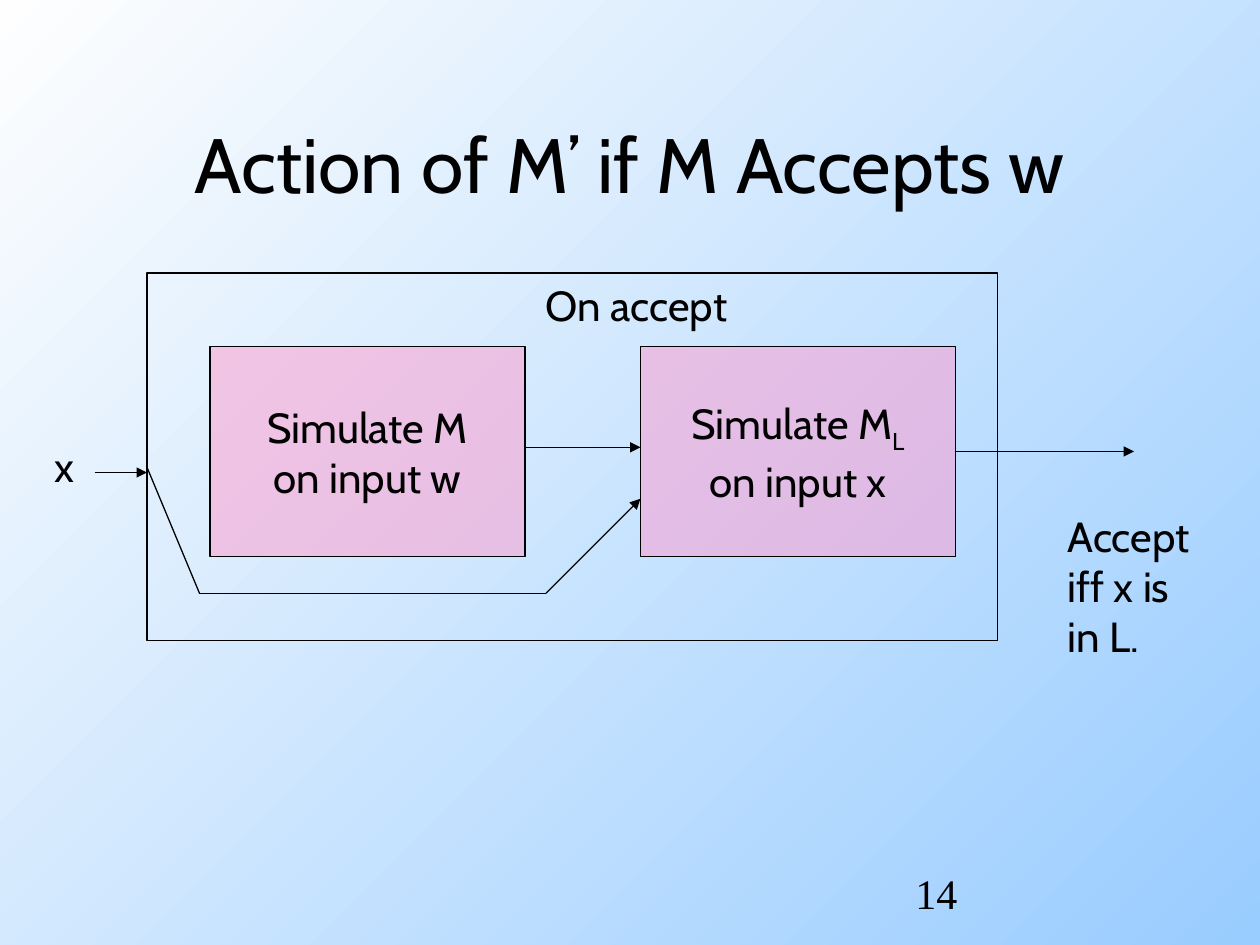
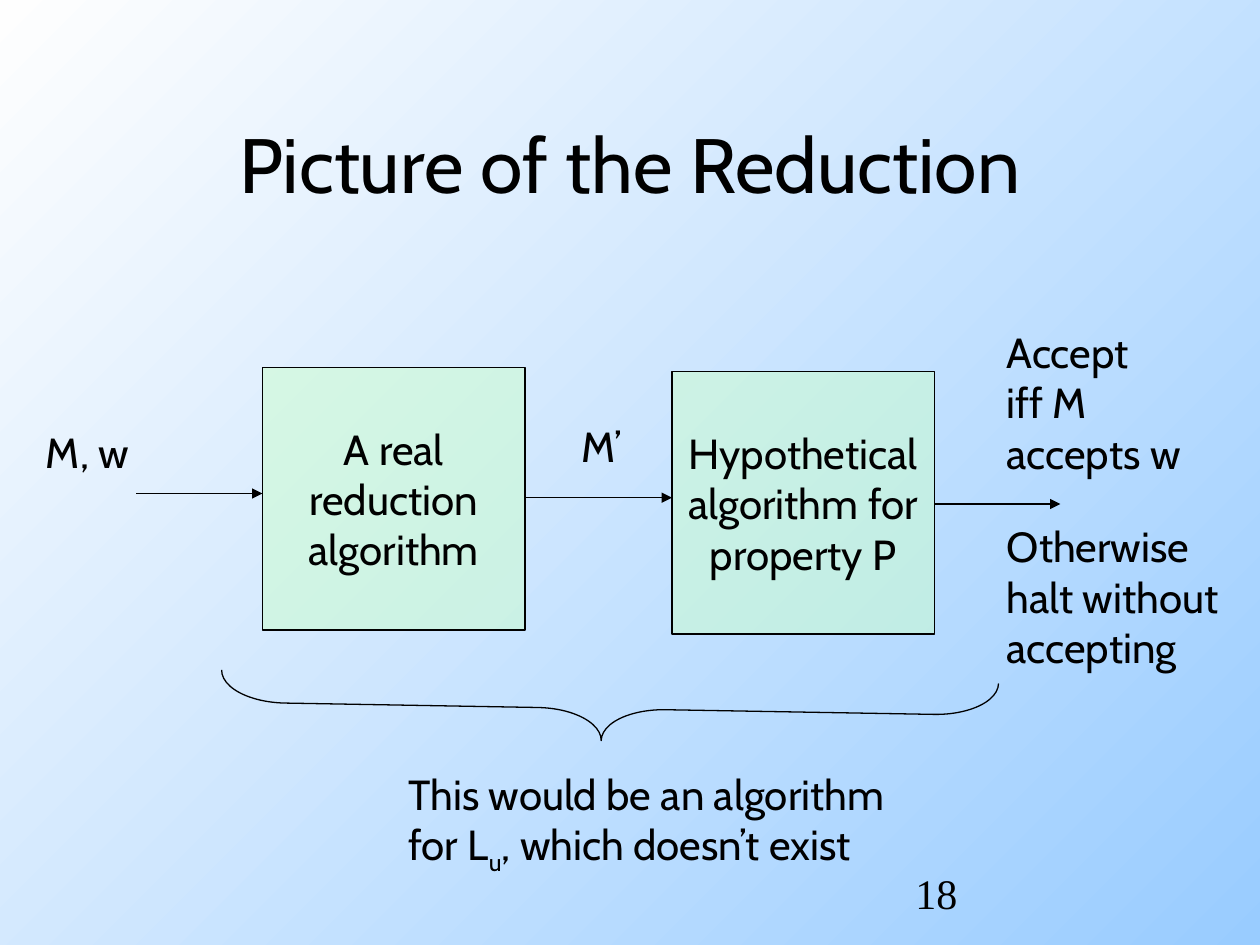
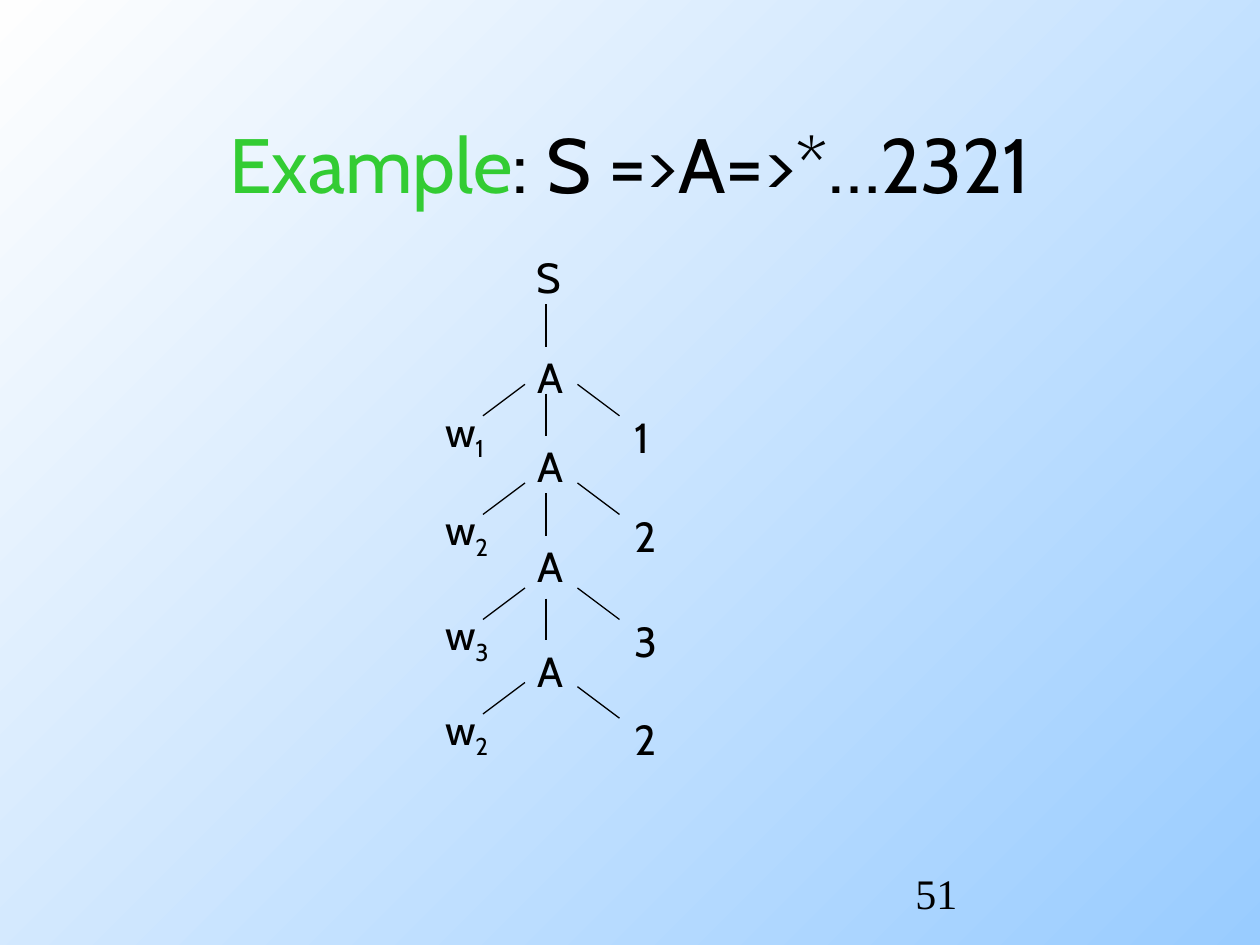
"""Three lecture slides on reductions and a grammar derivation."""
from dataclasses import dataclass
from itertools import pairwise

from lxml import etree
from pptx import Presentation
from pptx import util as u
from pptx.dml.color import RGBColor
from pptx.enum import shapes, text
from pptx.oxml import ns

COLUMNS, ROWS = 120, 90
SLIDE_WIDTH, SLIDE_HEIGHT = u.Inches(10), u.Inches(7.5)


@dataclass(frozen=True)
class Theme:
    """Colours, fonts and sizes shared by all slides."""
    ink: str = "000000"
    accent: str = "33CC33"
    deep: str = "99CCFF"
    pale: str = "FEFEFE"
    pink: str = "FF99CC"
    green: str = "CCFFCC"
    font: str = "Cabin"
    number_font: str = "Times New Roman"
    title_size: int = 44
    text_size: int = 24
    line_width: float = 0.74
    box_opacity: int = 50
    subscript: int = -25


THEME = Theme()


def across(columns):
    """Turn grid columns into a horizontal length."""
    return u.Emu(round(SLIDE_WIDTH * columns / COLUMNS))


def down(rows):
    """Turn grid rows into a vertical length."""
    return u.Emu(round(SLIDE_HEIGHT * rows / ROWS))


def area(left, top, width, height):
    """Turn a grid rectangle into lengths."""
    return across(left), down(top), across(width), down(height)


def add_child(parent, tag, **attributes):
    """Append a DrawingML element."""
    return etree.SubElement(parent, ns.qn(tag), attributes)


def add_run(paragraph, words, font, size, color, baseline=0):
    """Append one formatted run."""
    run = paragraph.add_run()
    run.text = words
    run.font.name = font
    run.font.size = u.Pt(size)
    run.font.color.rgb = RGBColor.from_string(color)
    if baseline:
        run._r.get_or_add_rPr().set("baseline", str(baseline * 1000))


def write(shape, content, lead="", font=THEME.font, size=THEME.text_size,
          color=THEME.ink, align=text.PP_ALIGN.LEFT,
          anchor=text.MSO_ANCHOR.TOP, wrap=False, grow=False):
    """Write lines into a shape; ~x~ sets x as subscript, lead is accented."""
    frame = shape.text_frame
    frame.word_wrap = wrap
    frame.vertical_anchor = anchor
    frame.auto_size = (text.MSO_AUTO_SIZE.SHAPE_TO_FIT_TEXT if grow
                       else text.MSO_AUTO_SIZE.NONE)
    for index, line in enumerate(content.split("\n")):
        paragraph = frame.add_paragraph() if index else frame.paragraphs[0]
        paragraph.alignment = align
        if lead and index == 0:
            add_run(paragraph, lead, font, size, THEME.accent)
        for part, words in enumerate(line.split("~")):
            if words:
                add_run(paragraph, words, font, size, color,
                        THEME.subscript if part % 2 else 0)


def add_label(slide, content, *place):
    """Add free text that fits its box."""
    write(slide.shapes.add_textbox(*area(*place)), content, grow=True)


def style_line(shape):
    """Give a shape or connector the thin black line."""
    shape.line.color.rgb = RGBColor.from_string(THEME.ink)
    shape.line.width = u.Pt(THEME.line_width)


def add_outline(slide, kind, *place):
    """Add an unfilled preset shape."""
    shape = slide.shapes.add_shape(kind, *area(*place))
    shape.shadow.inherit = False
    shape.fill.background()
    style_line(shape)
    return shape


def add_box(slide, content, color, *place):
    """Add a half-transparent box with centred text."""
    box = add_outline(slide, shapes.MSO_SHAPE.RECTANGLE, *place)
    box.fill.solid()
    box.fill.fore_color.rgb = RGBColor.from_string(color)
    tint = box._element.spPr.find(ns.qn("a:solidFill"))[0]
    add_child(tint, "a:alpha", val=str(THEME.box_opacity * 1000))
    write(box, content, align=text.PP_ALIGN.CENTER,
          anchor=text.MSO_ANCHOR.MIDDLE)


def add_path(slide, *points, arrow=True):
    """Join grid points with lines, the last one ending in an arrowhead."""
    for start, end in pairwise(points):
        line = slide.shapes.add_connector(
            shapes.MSO_CONNECTOR.STRAIGHT, across(start[0]), down(start[1]),
            across(end[0]), down(end[1]))
        style_line(line)
        if arrow and end == points[-1]:
            add_child(line.line._get_or_add_ln(), "a:tailEnd", type="triangle")
        add_child(line._element.spPr, "a:effectLst")


def paint_background(master):
    """Put the diagonal gradient behind every slide."""
    fill = master.background.fill
    fill.gradient()
    fill.gradient_angle = 135
    for stop, color in zip(fill.gradient_stops, (THEME.deep, THEME.pale)):
        stop.color.rgb = RGBColor.from_string(color)


def add_slide(presentation, title, number, lead=""):
    """Add a slide with its title and page number."""
    slide = presentation.slides.add_slide(presentation.slide_layouts[5])
    heading = slide.shapes.title
    heading.left, heading.top, heading.width, heading.height = area(
        9, 8, 102, 15)
    write(heading, title, lead=lead, size=THEME.title_size, wrap=True,
          align=text.PP_ALIGN.CENTER, anchor=text.MSO_ANCHOR.MIDDLE)
    write(slide.shapes.add_textbox(*area(86, 82, 25, 6)), str(number),
          font=THEME.number_font, wrap=True)
    return slide


def build_action(presentation):
    """Show the machine that simulates M and then the machine for L."""
    slide = add_slide(presentation, "Action of M’ if M Accepts w", 14)
    add_outline(slide, shapes.MSO_SHAPE.RECTANGLE, 14, 26, 81, 35)
    add_box(slide, "Simulate M\non input w", THEME.pink, 20, 33, 30, 20)
    add_box(slide, "Simulate M~L~\non input x", THEME.pink, 61, 33, 30, 20)
    add_label(slide, "x", 4, 41.4, 4.4, 6)
    add_label(slide, "On accept", 50.8, 26, 21.2, 6)
    add_label(slide, "Accept\niff x is\nin L.", 100.5, 48, 14.9, 15.6)
    add_path(slide, (9, 45), (14, 45))
    add_path(slide, (50, 42.6), (61, 42.6))
    add_path(slide, (14, 44.5), (19, 56.5), (52, 56.5), (61, 47.5))
    add_path(slide, (91, 43), (108, 43))


def build_reduction(presentation):
    """Show the reduction feeding the hypothetical algorithm."""
    slide = add_slide(presentation, "Picture of the Reduction", 18)
    add_box(slide, "A real\nreduction\nalgorithm", THEME.green,
            25, 35, 25, 25)
    add_box(slide, "Hypothetical\nalgorithm for\nproperty P", THEME.green,
            64, 35.4, 25, 25)
    add_label(slide, "M, w", 3.2, 40, 11.3, 6)
    add_label(slide, "M’", 54.2, 39.5, 6.7, 6)
    add_label(slide, "Accept\niff M\naccepts w", 94.7, 30.5, 20.8, 15.6)
    add_label(slide, "Otherwise\nhalt without\naccepting",
              94.7, 49, 25.1, 15.6)
    add_label(slide, "This would be an algorithm\n"
              "for L~u~, which doesn’t exist", 37.7, 72.6, 53.6, 11.5)
    for left, right, row in ((13, 25, 47), (50, 64, 47.4), (89, 101, 48)):
        add_path(slide, (left, row), (right, row))
    brace = add_outline(slide, shapes.MSO_SHAPE.LEFT_BRACE, 55, 30.5, 6.1, 74)
    brace.rotation = 271
    brace.adjustments[0] = 1
    brace.adjustments[1] = 0.49


def build_derivation(presentation):
    """Show the parse tree, one level for each A."""
    slide = add_slide(presentation, ": S =>A=>*…2321", 51, lead="Example")
    add_label(slide, "S", 49.9, 23.4, 4.6, 6)
    # index, row of the A, rows where its left and right branches start
    levels = ((1, 33, 36.6, 36.6), (2, 41.5, 46, 46),
              (3, 51, 56, 56), (2, 61, 65, 65.4))
    for index, row, left, right in levels:
        add_path(slide, (52, row - 4), (52, row), arrow=False)
        add_label(slide, "A", 50, row - 0.1, 4.9, 6)
        add_path(slide, (50, left), (46, left + 3), arrow=False)
        add_path(slide, (55, right), (59, right + 3), arrow=False)
        add_label(slide, f"w~{index}~", 41.2, left + 1.4, 6.8, 6.7)
        add_label(slide, str(index), 59.2, right + 2, 4.7, 6)


def main():
    """Build and save the presentation."""
    presentation = Presentation()
    presentation.slide_width = SLIDE_WIDTH
    presentation.slide_height = SLIDE_HEIGHT
    paint_background(presentation.slide_master)
    build_action(presentation)
    build_reduction(presentation)
    build_derivation(presentation)
    presentation.save("out.pptx")


main()
